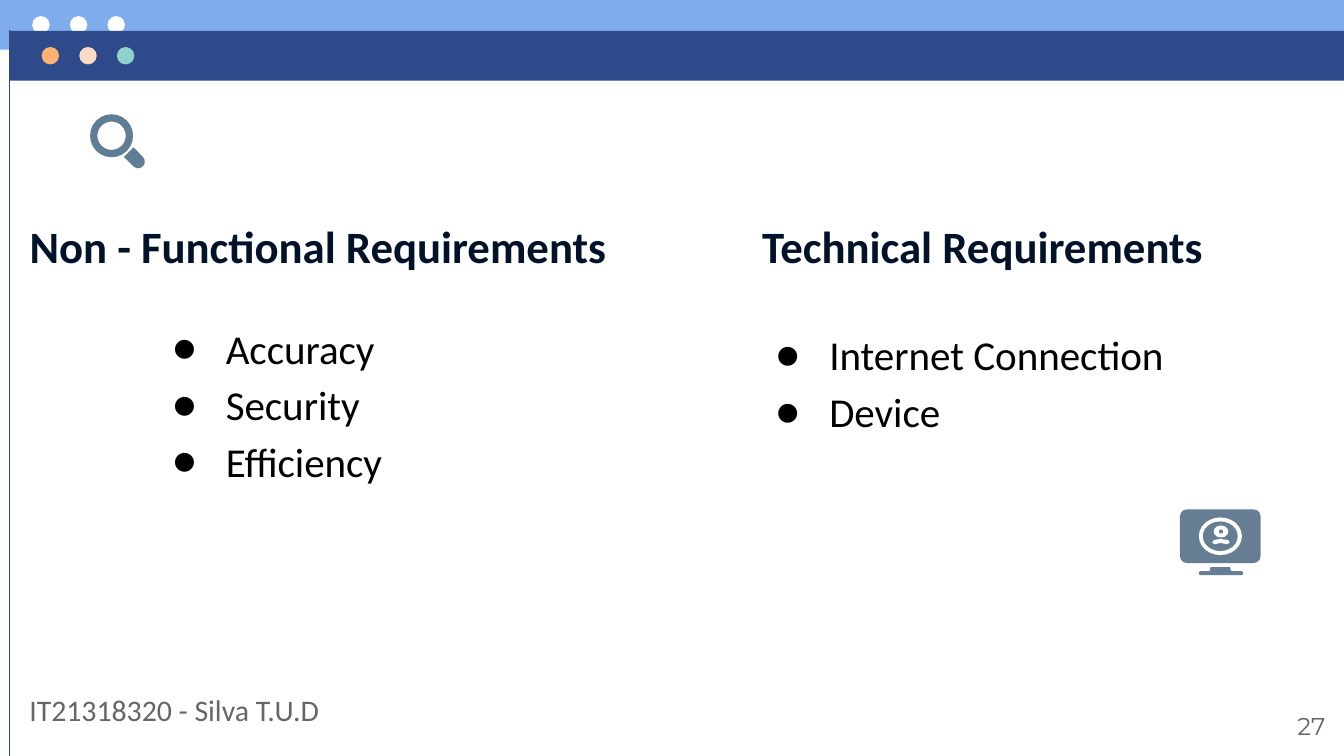
"""Build the slide that lists non-functional and technical requirements."""
import typing

import lxml.etree
import pptx
import pptx.dml.color
import pptx.enum.shapes
import pptx.enum.text
import pptx.oxml.ns
import pptx.util

Inches = pptx.util.Inches
SHAPE = pptx.enum.shapes.MSO_SHAPE
ALIGN = pptx.enum.text.PP_ALIGN
COLORS = {
    "sky": "7EACEC", "navy": "2F4A8A", "white": "FFFFFF", "orange": "FFB172",
    "peach": "F8DBC4", "mint": "90D1CB", "ink": "021229", "black": "000000",
    "gray": "666666", "lens": "5F7D95", "monitor": "657E93",
}


class Mark(typing.NamedTuple):
    kind: SHAPE
    color: str
    left: float
    top: float
    width: float
    height: float
    adj: float | None = None
    rotation: float = 0


class Column(typing.NamedTuple):
    heading: str
    heading_box: tuple
    items: list
    list_box: tuple


def rgb(name: str) -> pptx.dml.color.RGBColor:
    return pptx.dml.color.RGBColor.from_string(COLORS[name])


def paint(sp, color: str) -> None:
    sp.shadow.inherit = False
    sp.fill.solid()
    sp.fill.fore_color.rgb = rgb(color)
    sp.line.fill.background()


def draw_mark(s, mark: Mark) -> None:
    box = [Inches(v) for v in (mark.left, mark.top, mark.width, mark.height)]
    sp = s.shapes.add_shape(mark.kind, *box)
    paint(sp, mark.color)
    sp.rotation = mark.rotation
    if mark.adj is not None:
        sp.adjustments[0] = mark.adj


def draw_dots(s, left: float, top: float, colors: list) -> None:
    for i, color in enumerate(colors):
        draw_mark(s, Mark(SHAPE.OVAL, color, left + 0.28 * i, top, 0.13, 0.13))


def draw_shoulders(s) -> None:
    points = [(9.02, 4.04), (9.03, 4.02), (9.08, 4.01), (9.14, 4.02),
              (9.15, 4.04), (9.13, 4.05), (9.08, 4.04), (9.04, 4.05)]
    outline = [(Inches(x), Inches(y)) for x, y in points]
    builder = s.shapes.build_freeform(*outline[0])
    builder.add_line_segments(outline[1:], close=True)
    paint(builder.convert_to_shape(), "white")


def draw_edge(s, bottom: int) -> None:
    line = s.shapes.add_connector(
        pptx.enum.shapes.MSO_CONNECTOR.STRAIGHT,
        Inches(0.07), Inches(0.22), Inches(0.07), bottom)
    line.line.color.rgb = rgb("navy")
    line.line.width = pptx.util.Pt(0.75)
    lxml.etree.SubElement(line._element.spPr, pptx.oxml.ns.qn("a:effectLst"))


def add_bullet(p) -> None:
    qn = pptx.oxml.ns.qn
    ppr = p._p.get_or_add_pPr()
    ppr.set("marL", str(Inches(0.5)))
    ppr.set("indent", str(Inches(-0.4)))
    color = lxml.etree.SubElement(ppr, qn("a:buClr"))
    lxml.etree.SubElement(color, qn("a:srgbClr"), val=COLORS["black"])
    lxml.etree.SubElement(ppr, qn("a:buFont"), typeface="Calibri")
    lxml.etree.SubElement(ppr, qn("a:buChar"), char="●")


def write(sp, lines: list, box: tuple, *, size: float, color: str,
          font: str = "Calibri", bold: bool = False, spacing: float = 1.0,
          before: float = 0, bullets: bool = False, align=ALIGN.LEFT) -> None:
    sp.left, sp.top, sp.width, sp.height = [Inches(v) for v in box]
    tf = sp.text_frame
    tf.word_wrap = True
    tf.auto_size = pptx.enum.text.MSO_AUTO_SIZE.NONE
    tf.vertical_anchor = pptx.enum.text.MSO_ANCHOR.TOP
    tf.margin_left = tf.margin_right = Inches(0.1)
    tf.margin_top = tf.margin_bottom = Inches(0.1)
    for i, text in enumerate(lines):
        p = tf.add_paragraph() if i else tf.paragraphs[0]
        p.alignment = align
        p.line_spacing = spacing
        p.space_before = pptx.util.Pt(0 if i else before)
        p.space_after = pptx.util.Pt(0)
        if bullets:
            add_bullet(p)
        r = p.add_run()
        r.text = text
        r.font.name = font
        r.font.size = pptx.util.Pt(size)
        r.font.bold = bold
        r.font.color.rgb = rgb(color)


COLUMNS = [
    Column("Non - Functional Requirements", (0.12, 1.5, 4.57, 0.66),
           ["Accuracy", "Security", "Efficiency"], (1.08, 2.25, 2.64, 1.42)),
    Column("Technical Requirements", (5.57, 1.5, 4.01, 0.66),
           ["Internet Connection", "Device"], (5.57, 2.3, 3.5, 1.22)),
]
MAGNIFIER = [
    Mark(SHAPE.ROUND_2_SAME_RECTANGLE, "lens", 0.96, 1.11, 0.1, 0.15, 0.5, 135),
    Mark(SHAPE.DONUT, "lens", 0.67, 0.85, 0.32, 0.32, 0.17),
]
MONITOR = [
    Mark(SHAPE.ROUNDED_RECTANGLE, "monitor", 8.78, 3.79, 0.6, 0.4, 0.13),
    Mark(SHAPE.OVAL, "white", 8.92, 3.85, 0.32, 0.28),
    Mark(SHAPE.OVAL, "monitor", 8.95, 3.88, 0.26, 0.22),
    Mark(SHAPE.OVAL, "white", 9.03, 3.91, 0.11, 0.09),
    Mark(SHAPE.OVAL, "monitor", 9.07, 3.94, 0.03, 0.03),
    Mark(SHAPE.TRAPEZOID, "monitor", 9, 4.22, 0.16, 0.03),
    Mark(SHAPE.ROUNDED_RECTANGLE, "monitor", 8.92, 4.25, 0.33, 0.03, 0.5),
]


def main() -> None:
    prs = pptx.Presentation()
    prs.slide_width = Inches(10)
    prs.slide_height = prs.slide_width * 9 // 16
    s = prs.slides.add_slide(prs.slide_layouts.get_by_name("Comparison"))
    title, *bodies = s.placeholders
    title._element.getparent().remove(title._element)

    draw_mark(s, Mark(SHAPE.RECTANGLE, "sky", 0, 0, 10, 0.37))
    draw_dots(s, 0.24, 0.12, ["white"] * 3)
    draw_mark(s, Mark(SHAPE.RECTANGLE, "navy", 0.07, 0.23, 9.93, 0.37))
    draw_dots(s, 0.31, 0.35, ["orange", "peach", "mint"])
    draw_edge(s, prs.slide_height)

    for column, heading, body in zip(COLUMNS, bodies[::2], bodies[1::2]):
        write(heading, [column.heading], column.heading_box,
              size=24, color="ink", bold=True, spacing=1.07)
        write(body, column.items, column.list_box, size=22, color="black",
              spacing=1.15, before=12, bullets=True)

    for mark in MAGNIFIER + MONITOR:
        draw_mark(s, mark)
    draw_shoulders(s)

    author = s.shapes.add_textbox(0, 0, 0, 0)
    write(author, ["IT21318320 - Silva T.U.D"], (0.12, 5.05, 3.16, 0.49),
          size=16, color="gray")
    number = s.shapes.add_textbox(0, 0, 0, 0)
    write(number, ["27"], (9.36, 5.19, 0.6, 0.43), size=13, color="gray",
          font="Montserrat", align=ALIGN.RIGHT)
    prs.save("out.pptx")


if __name__ == "__main__":
    main()
